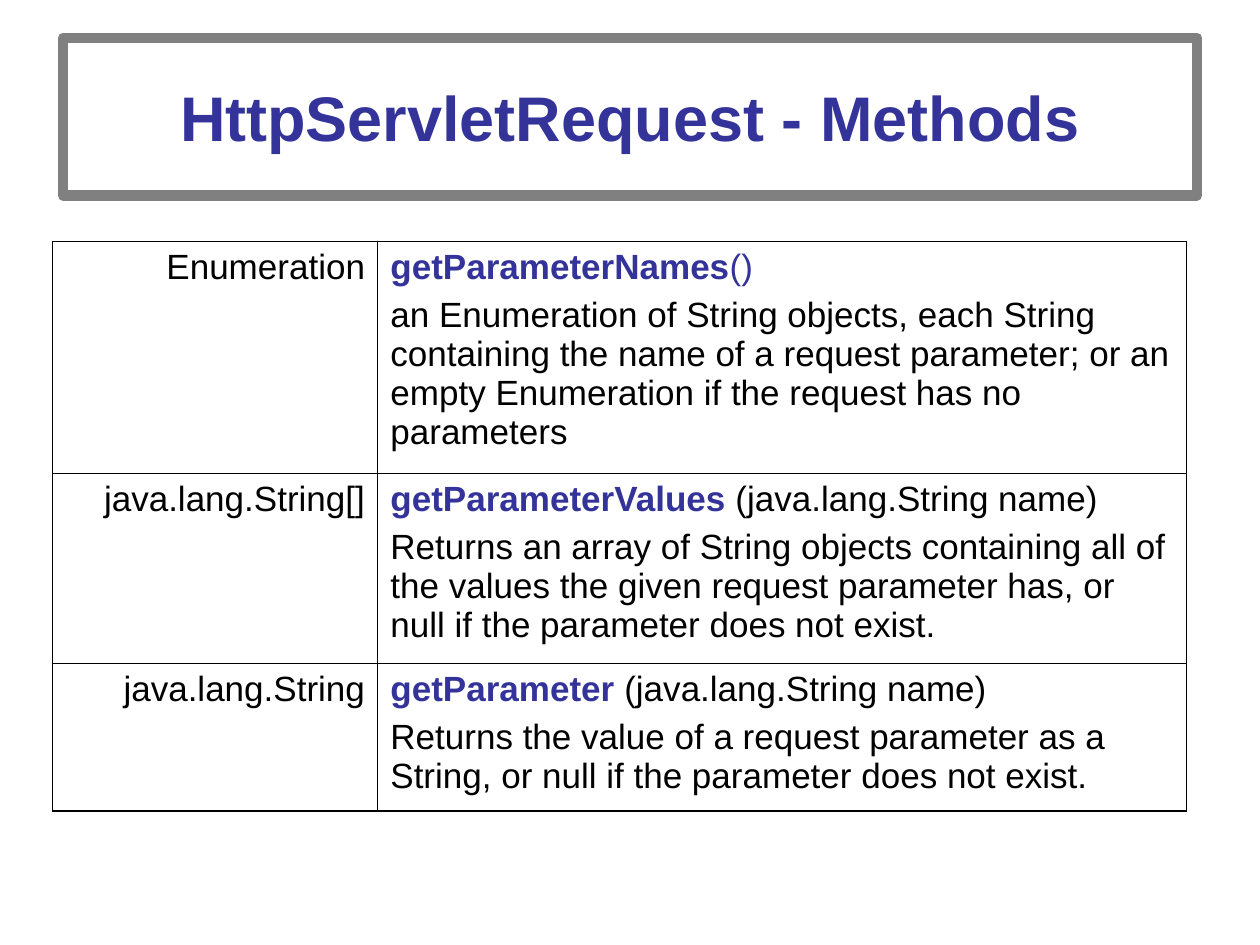
from lxml import etree
from pptx import Presentation
from pptx.dml.color import RGBColor
from pptx.enum.text import MSO_ANCHOR, MSO_AUTO_SIZE, PP_ALIGN
from pptx.oxml.ns import qn
from pptx.util import Pt

LEFT, CENTER, RIGHT = PP_ALIGN.LEFT, PP_ALIGN.CENTER, PP_ALIGN.RIGHT
MIDDLE = MSO_ANCHOR.MIDDLE
NO_FIT = MSO_AUTO_SIZE.NONE
BLUE = RGBColor(0x33, 0x33, 0x99)
BLACK = RGBColor(0, 0, 0)
GRAY = RGBColor(0x80, 0x80, 0x80)
OUTER, INNER = 1.08, 0.45

TITLE = "HttpServletRequest - Methods"
METHODS = [
    ("Enumeration", "getParameterNames", "()", BLUE,
     "an Enumeration of String objects, each String containing the name of a "
     "request parameter; or an empty Enumeration if the request has no parameters"),
    ("java.lang.String[]", "getParameterValues ", "(java.lang.String name)", BLACK,
     "Returns an array of String objects containing all of the values the given "
     "request parameter has, or null if the parameter does not exist."),
    ("java.lang.String", "getParameter ", "(java.lang.String name)", BLACK,
     "Returns the value of a request parameter as a String, or null if the "
     "parameter does not exist."),
]
COL_WIDTHS = [185.9, 462.1]
ROW_HEIGHTS = [132.5, 108.6, 84.3]


def add_text(p, text, size=20, color=BLACK, bold=False, align=LEFT, before=5):
    p.alignment = align
    p.space_before = Pt(before)
    r = p.add_run()
    r.text = text
    r.font.name = "Arial"
    r.font.size = Pt(size)
    r.font.bold = bold
    r.font.color.rgb = color


def set_borders(cell, widths):
    tcPr = cell._tc.get_or_add_tcPr()
    for side, width in widths.items():
        ln = etree.SubElement(tcPr, qn(f"a:ln{side}"), w=str(int(Pt(width))))
        fill = etree.SubElement(ln, qn("a:solidFill"))
        etree.SubElement(fill, qn("a:srgbClr"), val=str(BLACK))


prs = Presentation()
prs.slide_width, prs.slide_height = Pt(720), Pt(540)
s = prs.slides.add_slide(prs.slide_layouts[5])

title = s.shapes.title
title.left, title.top, title.width, title.height = Pt(36), Pt(21.6), Pt(648), Pt(90)
title.line.color.rgb = GRAY
title.line.width = Pt(6)
tf = title.text_frame
tf.auto_size = NO_FIT
tf.vertical_anchor = MIDDLE
add_text(tf.paragraphs[0], TITLE, size=36, color=BLUE, bold=True, align=CENTER, before=0)

table = s.shapes.add_table(len(METHODS), len(COL_WIDTHS), Pt(30), Pt(138),
                           Pt(sum(COL_WIDTHS)), Pt(sum(ROW_HEIGHTS))).table
table.first_row = table.horz_banding = False
for column, width in zip(table.columns, COL_WIDTHS):
    column.width = Pt(width)
for row, height in zip(table.rows, ROW_HEIGHTS):
    row.height = Pt(height)

last = len(METHODS) - 1
for i, (returns, name, args, args_color, description) in enumerate(METHODS):
    type_cell, method_cell = table.cell(i, 0), table.cell(i, 1)
    add_text(type_cell.text_frame.paragraphs[0], returns, align=RIGHT)
    tf = method_cell.text_frame
    p = tf.paragraphs[0]
    add_text(p, name, color=BLUE, bold=True)
    add_text(p, args, color=args_color)
    add_text(tf.add_paragraph(), description)

    top = OUTER if i == 0 else INNER
    bottom = OUTER if i == last else INNER
    for cell, left, right in ((type_cell, OUTER, INNER), (method_cell, INNER, OUTER)):
        set_borders(cell, {"L": left, "R": right, "T": top, "B": bottom})
        cell.fill.background()

prs.save("out.pptx")
